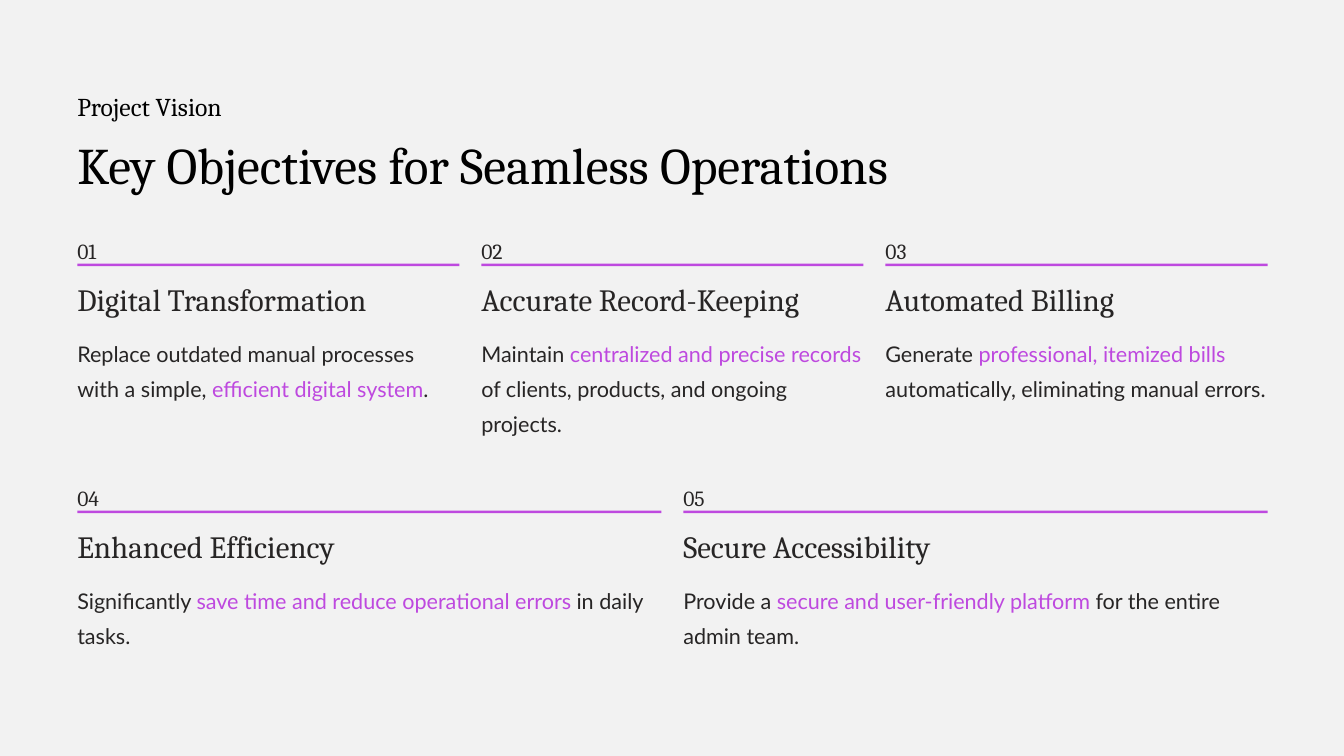
from pptx import Presentation
from pptx import util as u
from pptx.dml import color
from pptx.enum import shapes, text

INK, DARK, PINK, PAPER = "000000", "272525", "BE49DF", "F2F2F2"
SERIF, SANS = "Cambria", "Lato"
LEFT, WIDE, GAP = 0.92, 14.17, 0.26
KICK = {"name": SERIF, "size": u.Pt(22)}
HEAD = {"name": SERIF, "size": u.Pt(44)}
MARK = {"name": SERIF, "size": u.Pt(18.5)}
NAME = {"name": SERIF, "size": u.Pt(26.5)}
BODY = {"name": SANS, "size": u.Pt(18.5)}
ROWS = [
    (2.72, [
        ("Digital Transformation", "Replace outdated manual processes with a simple, ",
         "efficient digital system", "."),
        ("Accurate Record-Keeping", "Maintain ", "centralized and precise records",
         " of clients, products, and ongoing projects."),
        ("Automated Billing", "Generate ", "professional, itemized bills",
         " automatically, eliminating manual errors."),
    ]),
    (5.66, [
        ("Enhanced Efficiency", "Significantly ",
         "save time and reduce operational errors", " in daily tasks."),
        ("Secure Accessibility", "Provide a ", "secure and user-friendly platform",
         " for the entire admin team."),
    ]),
]


def paint(obj, tone):
    """Give a fill a solid colour."""
    obj.solid()
    obj.fore_color.rgb = color.RGBColor.from_string(tone)


def place(shape, box):
    """Move a shape to a box given in inches."""
    for key, val in zip(("left", "top", "width", "height"), box):
        setattr(shape, key, u.Inches(val))


def write(shape, runs, font, lead):
    """Fill a shape with one paragraph of (words, colour) runs."""
    frame = shape.text_frame
    form = {"margin_left": 0, "margin_top": 0, "margin_right": 0, "margin_bottom": 0,
            "word_wrap": True, "auto_size": text.MSO_AUTO_SIZE.NONE,
            "vertical_anchor": text.MSO_ANCHOR.TOP}
    for key, val in form.items():
        setattr(frame, key, val)
    para = frame.paragraphs[0]
    para.alignment = text.PP_ALIGN.LEFT
    para.line_spacing = u.Pt(lead)
    for words, tone in runs:
        run = para.add_run()
        run.text = words
        for key, val in font.items():
            setattr(run.font, key, val)
        paint(run.font.fill, tone)


def label(slide, box, runs, font, lead):
    """Add a text box."""
    write(slide.shapes.add_textbox(*map(u.Inches, box)), runs, font, lead)


def header(slide, x, y, w):
    """Place the kicker and the title."""
    label(slide, (x, y, w, 0.38), [("Project Vision", INK)], KICK, 27.5)
    title = slide.shapes.title
    place(title, (x, y + 0.49, w, 0.77))
    write(title, [("Key Objectives for Seamless Operations", INK)], HEAD, 55)


def card(slide, x, y, w, num, item):
    """Place one numbered goal under its rule."""
    name, start, key, end = item
    label(slide, (x, y, w, 0.33), [(f"{num:02}", DARK)], MARK, 30)
    rule = slide.shapes.add_shape(
        shapes.MSO_SHAPE.RECTANGLE, *map(u.Inches, (x, y + 0.42, w, 0.03)))
    rule.shadow.inherit = False
    paint(rule.fill, PINK)
    rule.line.fill.background()
    label(slide, (x, y + 0.61, w, 0.46), [(name, DARK)], NAME, 33)
    label(slide, (x, y + 1.23, w, 1.26),
          [(start, DARK), (key, PINK), (end, DARK)], BODY, 30)


def main():
    """Build the slide."""
    deck = Presentation()
    deck.slide_width, deck.slide_height = u.Inches(16), u.Inches(9)
    slide = deck.slides.add_slide(deck.slide_layouts[5])
    paint(slide.background.fill, PAPER)
    header(slide, LEFT, 1.07, WIDE)
    num = 0
    for y, items in ROWS:
        w = (WIDE - GAP * (len(items) - 1)) / len(items)
        for col, item in enumerate(items):
            num += 1
            card(slide, LEFT + col * (w + GAP), y, w, num, item)
    deck.save("out.pptx")


if __name__ == "__main__":
    main()
